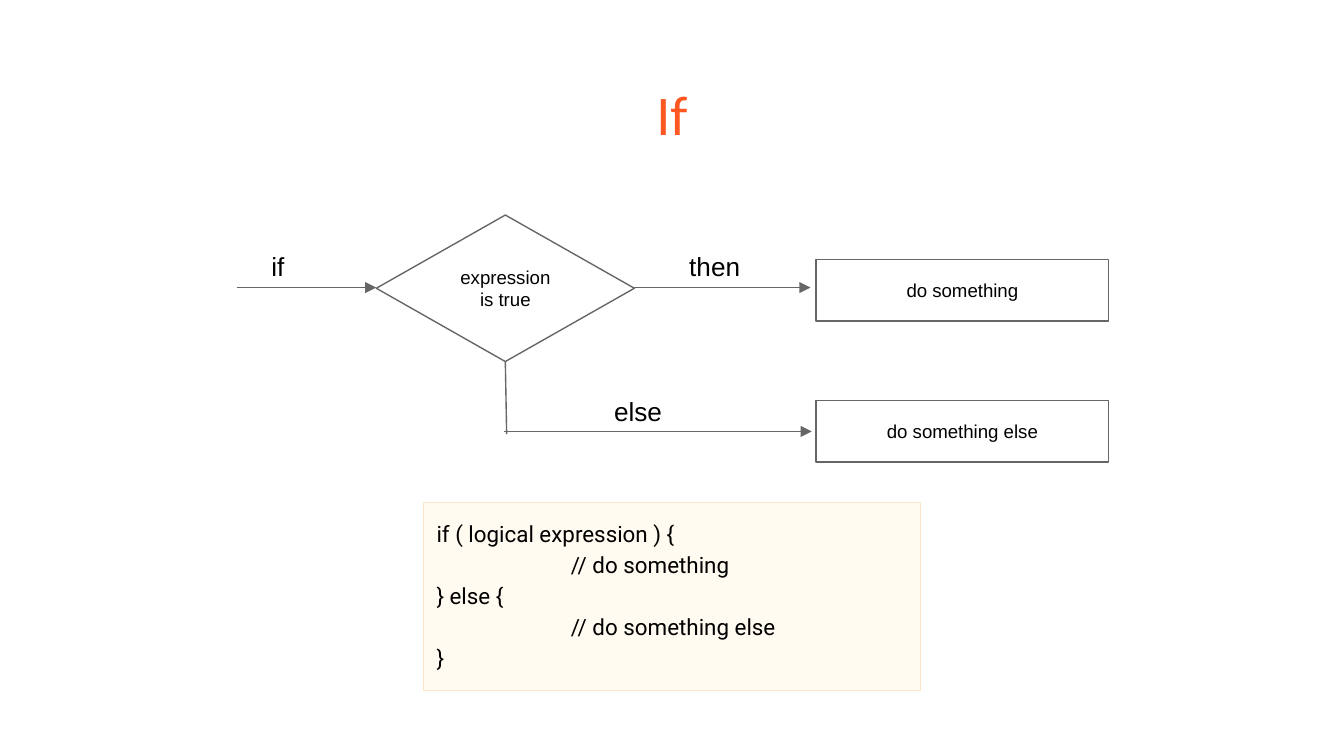
from lxml import etree
from pptx import Presentation
from pptx.dml.color import RGBColor
from pptx.enum.shapes import MSO_CONNECTOR, MSO_SHAPE
from pptx.enum.text import MSO_ANCHOR, MSO_AUTO_SIZE, PP_ALIGN
from pptx.oxml.ns import qn
from pptx.util import Emu, Pt

LEFT, CENTER = PP_ALIGN.LEFT, PP_ALIGN.CENTER
TOP, MIDDLE = MSO_ANCHOR.TOP, MSO_ANCHOR.MIDDLE
RECT, DIAMOND = MSO_SHAPE.RECTANGLE, MSO_SHAPE.DIAMOND
STRAIGHT = MSO_CONNECTOR.STRAIGHT
NO_AUTOFIT = MSO_AUTO_SIZE.NONE
TITLE_ONLY = 5

SCALE = 9144  # 100 px to the inch
INK, GREY, ORANGE = "000000", "666666", "FF5722"
CREAM, SAND = "FFFBF0", "FCE5CD"

CODE = """if ( logical expression ) {
\t// do something
} else {
\t// do something else
}"""


def px(*values):
    return [Emu(v * SCALE) for v in values]


def color(hex_code):
    return RGBColor.from_string(hex_code)


def add_tab_stop(p, position):
    tabs = etree.SubElement(p._p.get_or_add_pPr(), qn("a:tabLst"))
    etree.SubElement(tabs, qn("a:tab"), pos=str(position * SCALE), algn="l")


def write(sp, text, size=10, font="Arial", ink=INK, align=LEFT, anchor=TOP, spacing=1.0):
    tf = sp.text_frame
    tf.word_wrap = True
    tf.auto_size = NO_AUTOFIT
    tf.vertical_anchor = anchor
    tf.margin_left, tf.margin_top, tf.margin_right, tf.margin_bottom = px(10, 10, 10, 10)
    for i, line in enumerate(text.split("\n")):
        p = tf.add_paragraph() if i else tf.paragraphs[0]
        p.alignment = align
        p.line_spacing = spacing
        if line.startswith("\t"):
            add_tab_stop(p, 100)
        r = p.add_run()
        r.text = line
        r.font.size = Pt(size)
        r.font.name = font
        r.font.color.rgb = color(ink)


def add_title(s, text, box):
    sp = s.shapes.title
    sp.left, sp.top, sp.width, sp.height = px(*box)
    write(sp, text, size=30, font="Calibri", ink=ORANGE, align=CENTER)


def add_box(s, kind, box, text, fill=None, line=GREY, **text_format):
    sp = s.shapes.add_shape(kind, *px(*box))
    sp.shadow.inherit = False
    if fill:
        sp.fill.solid()
        sp.fill.fore_color.rgb = color(fill)
    else:
        sp.fill.background()
    sp.line.color.rgb = color(line)
    sp.line.width = Pt(0.75)
    write(sp, text, **text_format)


def add_label(s, box, text):
    write(s.shapes.add_textbox(*px(*box)), text, size=14)


def add_line(s, start, end, arrow=True):
    line = s.shapes.add_connector(STRAIGHT, *px(*start, *end))
    line.line.color.rgb = color(GREY)
    line.line.width = Pt(0.75)
    if arrow:
        etree.SubElement(line.line._get_or_add_ln(), qn("a:tailEnd"), type="triangle")
    etree.SubElement(line._element.spPr, qn("a:effectLst"))


def main():
    prs = Presentation()
    prs.slide_width = Emu(1000 * SCALE)
    prs.slide_height = Emu(prs.slide_width * 9 // 16)
    s = prs.slides.add_slide(prs.slide_layouts[TITLE_ONLY])
    add_title(s, "If", (34, 49, 932, 63))

    # Code sample
    add_box(s, RECT, (315, 374, 370, 140), CODE, fill=CREAM, line=SAND,
            size=12, font="Roboto", spacing=1.15)

    # Decision and its two outcomes
    add_box(s, DIAMOND, (280, 160, 192, 109), "expression\nis true",
            align=CENTER, anchor=MIDDLE)
    for top, text in ((193, "do something"), (298, "do something else")):
        add_box(s, RECT, (607, top, 218, 46), text, align=CENTER, anchor=MIDDLE)

    # Flow lines
    add_line(s, (176, 214), (280, 214))
    add_line(s, (472, 214), (603, 214))
    add_line(s, (375, 321), (604, 321))
    add_line(s, (376, 269), (377, 323), arrow=False)

    # Branch labels
    add_label(s, (192, 176, 81, 46), "if")
    add_label(s, (503, 176, 89, 46), "then")
    add_label(s, (447, 284, 89, 46), "else")

    prs.save("out.pptx")


if __name__ == "__main__":
    main()
